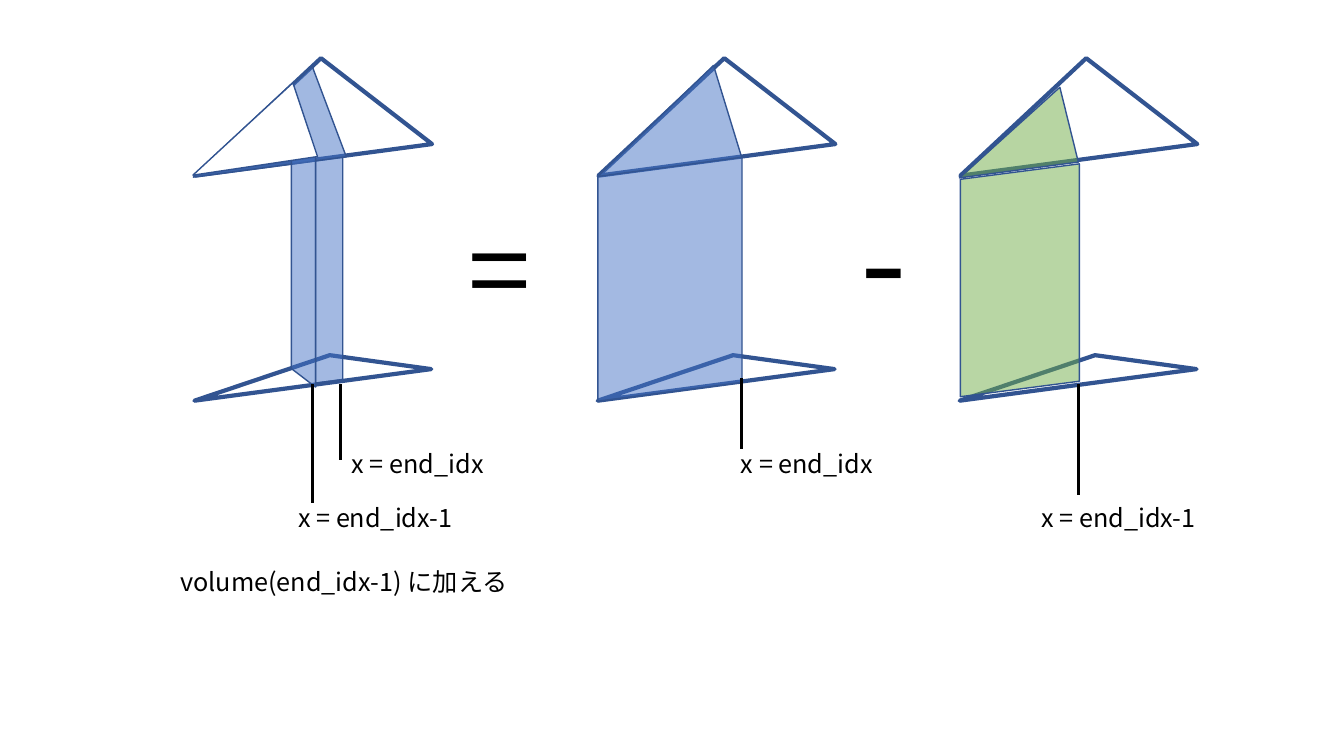
import pptx
import pptx.dml.color
import pptx.enum.shapes
import pptx.enum.text
import pptx.oxml
import pptx.oxml.ns
import pptx.util

PX = 9144
FONT = "Noto Sans CJK JP"
COLORS = {"outline": "325491", "blue": "4472C4", "green": "70AD47",
          "white": "FFFFFF", "black": "000000"}
TRIANGLE = pptx.enum.shapes.MSO_SHAPE.ISOSCELES_TRIANGLE
PARALLELOGRAM = pptx.enum.shapes.MSO_SHAPE.PARALLELOGRAM
TILT = 352.4


def px(value):
    """Turn pixels into EMU."""
    return pptx.util.Emu(value * PX)


def color(name):
    """Look up a named colour."""
    return pptx.dml.color.RGBColor.from_string(COLORS[name])


def add_face(shapes, kind, box, slant, rotation=TILT, fill=None, opacity=100,
             weight=1, flip=False):
    """Add one outlined face of a prism."""
    shape = shapes.add_shape(kind, *map(px, box))
    shape.shadow.inherit = False
    shape.adjustments[0] = slant
    shape.rotation = rotation
    shape.line.color.rgb = color("outline")
    shape.line.width = pptx.util.Pt(weight)
    if flip:
        shape.element.spPr.get_or_add_xfrm().set("flipV", "1")
    if fill is None:
        shape.fill.background()
        return
    shape.fill.solid()
    shape.fill.fore_color.rgb = color(fill)
    if opacity < 100:
        tint = shape.element.spPr.find(".//" + pptx.oxml.ns.qn("a:solidFill"))[0]
        tint.append(pptx.oxml.parse_xml(
            f'<a:alpha {pptx.oxml.ns.nsdecls("a")} val="{opacity * 1000}"/>'))


def add_text(shapes, text, box, size=18):
    """Add one line of black text."""
    shape = shapes.add_textbox(*map(px, box))
    frame = shape.text_frame
    frame.word_wrap = True
    frame.auto_size = pptx.enum.text.MSO_AUTO_SIZE.SHAPE_TO_FIT_TEXT
    frame.text = text
    for run in frame.paragraphs[0].runs:
        run.font.size = pptx.util.Pt(size)
        run.font.name = FONT
        run.font.color.rgb = color("black")
        east_asian = pptx.oxml.parse_xml(
            f'<a:ea {pptx.oxml.ns.nsdecls("a")} typeface="{FONT}"/>')
        run.font._element.find(pptx.oxml.ns.qn("a:latin")).addnext(east_asian)


def add_marker(shapes, x, top, bottom):
    """Add a vertical line that marks a position on the x axis."""
    connector = shapes.add_connector(
        pptx.enum.shapes.MSO_CONNECTOR.STRAIGHT, px(x), px(top), px(x), px(bottom))
    connector.line.color.rgb = color("black")
    connector.line.width = pptx.util.Pt(2.25)
    connector.element.spPr.append(pptx.oxml.parse_xml(
        f'<a:effectLst {pptx.oxml.ns.nsdecls("a")}/>'))


def add_prism(shapes, left, top):
    """Add the outlined top and base of a prism."""
    add_face(shapes, TRIANGLE, (left, top, 237, 99), 0.587, weight=3)
    add_face(shapes, TRIANGLE, (left + 4, top + 295, 237, 27), 0.587, weight=3)


def add_part(slide, left, top, fill, wall, section, slant):
    """Add a prism with its part up to one position tinted."""
    shapes = slide.shapes.add_group_shape().shapes
    add_prism(shapes, left, top)
    wall_x, wall_y, *wall_size = wall
    section_x, section_y, *section_size = section
    add_face(shapes, PARALLELOGRAM, (left + wall_x, top + wall_y, *wall_size),
             0.13, 90, fill, 49, flip=True)
    add_face(shapes, TRIANGLE, (left + section_x, top + section_y, *section_size),
             slant, fill=fill, opacity=50)
    return shapes


def add_slice(slide, left, top):
    """Add the prism whose thin slice is the difference."""
    shapes = add_part(slide, left, top, "blue", (28, 194, 225, 27),
                      (-1, 13, 153, 93), 0.859)
    add_face(shapes, PARALLELOGRAM, (left - 8, top + 189, 246, 24), 0.766, 270,
             "blue", 49)
    add_face(shapes, TRIANGLE, (left - 1, top + 29, 125, 76), 0.893, 351.5, "white")
    add_marker(shapes, left + 152, top + 321, top + 396)
    add_marker(shapes, left + 124, top + 321, top + 439)
    add_text(shapes, "x = end_idx", (left + 153, top + 380, 217, 40))
    add_text(shapes, "x = end_idx-1", (left + 100, top + 433, 207, 40))
    add_text(shapes, "volume(end_idx-1) に加える", (left - 17, top + 497, 355, 40))


def add_whole(slide, left, top):
    """Add the prism filled up to end_idx."""
    shapes = add_part(slide, left, top, "blue", (-43, 145, 243, 143),
                      (0, 12, 144, 94), 0.892)
    add_marker(shapes, left + 149, top + 315, top + 385)
    add_text(shapes, "x = end_idx", (left + 139, top + 380, 156, 40))


def add_previous(slide, left, top):
    """Add the prism filled up to the index before end_idx."""
    shapes = add_part(slide, left, top, "green", (-49, 159, 231, 118),
                      (1, 33, 119, 76), 0.93)
    add_marker(shapes, left + 125, top + 321, top + 431)
    add_text(shapes, "x = end_idx-1", (left + 78, top + 433, 217, 40))


def main():
    """Build the slide and save it."""
    presentation = pptx.Presentation()
    presentation.slide_width, presentation.slide_height = px(1333), px(750)
    slide = presentation.slides.add_slide(presentation.slide_layouts[6])
    add_previous(slide, 945, 60)
    add_whole(slide, 586, 60)
    add_slice(slide, 186, 60)
    add_text(slide.shapes, "=", (455, 194, 110, 145), 80)
    add_text(slide.shapes, "-", (844, 171, 123, 172), 96)
    presentation.save("out.pptx")


if __name__ == "__main__":
    main()
